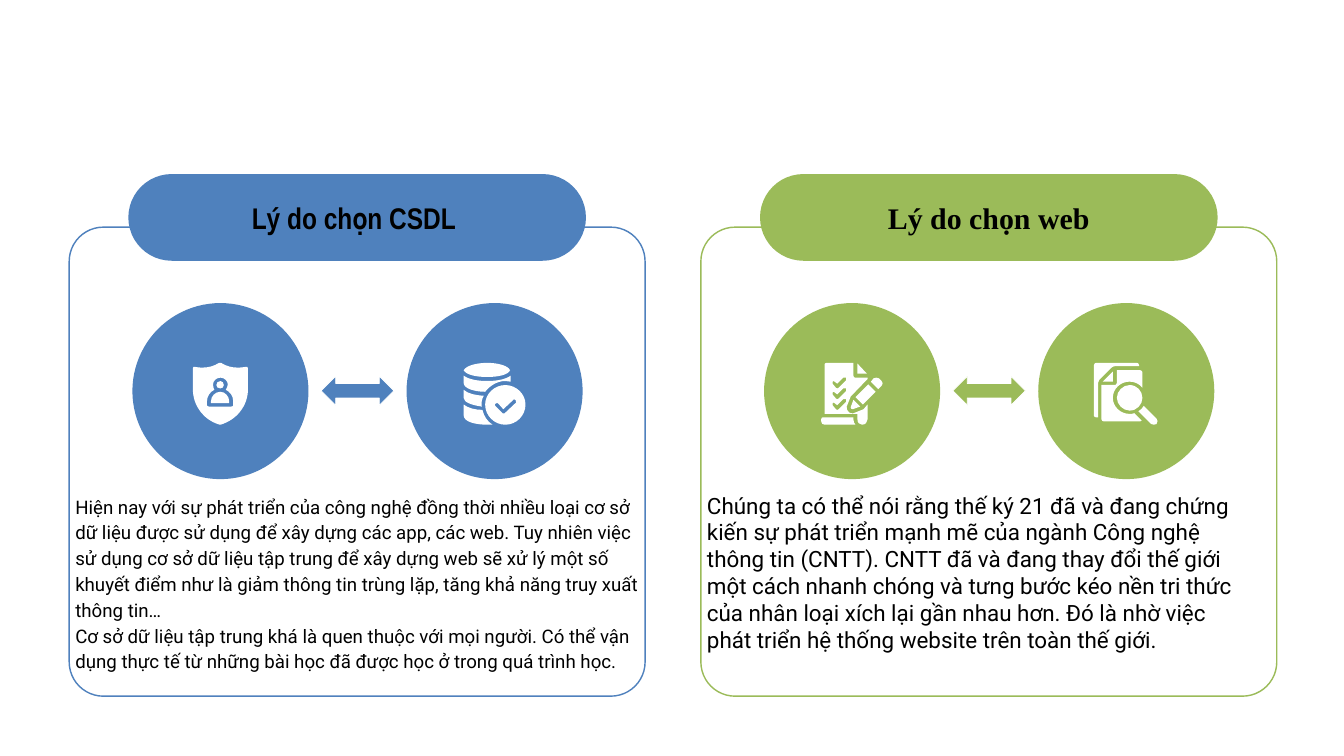
from dataclasses import dataclass

from pptx import Presentation
from pptx.dml.color import RGBColor
from pptx.enum.shapes import MSO_SHAPE as SHAPE
from pptx.enum.text import MSO_ANCHOR as ANCHOR, PP_ALIGN as ALIGN
from pptx.oxml.ns import qn
from pptx.util import Pt

PX = 9144


@dataclass(frozen=True)
class Theme:
    """Colours, fonts and type sizes of the slide."""
    blue: str = "4F81BD"
    green: str = "9BBB59"
    white: str = "FFFFFF"
    ink: str = "000000"
    body_font: str = "Roboto"
    heading_size: int = 32
    small_body: int = 20
    large_body: int = 24


THEME = Theme()


def tick(y):
    """Return the outline of a checklist tick whose top is at y."""
    return (f"M35 {y}C35 {y} 36 {y} 37 {y}C38 {y + 2} 38 {y + 3} 37 {y + 4}L26 {y + 15}"
            f"C25 {y + 16} 25 {y + 16} 24 {y + 16}C23 {y + 16} 23 {y + 16} 22 {y + 15}"
            f"L17 {y + 9}C16 {y + 8} 16 {y + 7} 17 {y + 6}C17 {y + 5} 18 {y + 5} 19 {y + 5}"
            f"C19 {y + 5} 20 {y + 5} 20 {y + 6}L24 {y + 9}L33 {y}C33 {y} 34 {y} 35 {y}")


SHIELD = (
    "M41 43C33 43 27 50 27 57L27 60L54 60L54 57C54 50 48 43 41 43",
    "M41 27C37 27 35 30 35 33C35 36 37 38 41 38C44 38 46 36 46 33C46 30 44 27 41 27",
    "M41 22C47 22 52 27 52 32C52 35 50 38 49 40C55 43 60 49 60 57L60 63"
    "C60 64 59 65 57 65L24 65C22 65 21 64 21 63L21 57C21 49 26 43 32 40"
    "C31 38 30 36 30 32C30 27 35 22 41 22"
    "M41 0C40 0 40 0 39 0C31 5 23 7 15 7C11 7 7 7 3 6C3 6 3 6 2 6C2 6 1 6 1 6C0 7 0 7 0 8"
    "L0 39C0 64 16 85 40 92L41 92C65 85 82 64 82 39L82 8C82 7 82 7 81 6C80 6 80 6 79 6"
    "C79 6 79 6 78 6C74 7 70 7 66 7C58 7 50 5 42 0C42 0 41 0 41 0",
)
DATABASE = (
    "M35 0C19 0 4 4 0 11C4 18 19 21 35 21C51 21 66 18 69 11C66 4 51 0 35 0",
    "M0 19L0 30C0 38 16 43 32 43C39 34 50 27 62 27C65 27 67 28 70 28L70 19"
    "C62 25 48 27 35 27C22 27 8 25 0 19",
    "M75 54C77 54 79 57 78 59L61 75C61 75 60 75 60 75C59 75 58 75 58 75L47 64"
    "C45 62 47 60 49 60C49 60 50 60 51 60L59 69L74 55C74 54 75 54 75 54"
    "M62 33C46 33 32 46 32 62C32 79 46 92 62 92C78 92 92 79 92 62C92 46 78 33 62 33",
    "M0 40L0 52C0 59 13 63 27 65C26 59 27 54 30 49C18 48 6 46 0 40",
    "M0 62L0 78C0 88 18 92 35 92C38 92 40 92 43 92C35 87 30 79 28 70C17 70 6 67 0 62",
)
CHECKLIST = (
    tick(22) + tick(38) + tick(54) +
    "M8 0C6 0 5 1 5 3L5 76L54 76L54 81L54 84C54 89 57 92 61 92C66 92 69 88 69 84L69 62L63 69"
    "L48 75C48 75 47 75 46 75C43 75 41 74 40 72C38 70 38 68 38 65L44 50L69 24L69 22L51 22"
    "C49 22 48 21 48 19L48 0",
    "M82 22C81 22 79 22 78 23L74 28L85 39L90 34C92 32 92 29 90 27L86 23C85 22 84 22 82 22",
    "M48 55L44 66C44 68 45 69 47 69C47 69 47 69 47 69L58 65L48 55",
    "M70 32L51 51L62 62L81 43L70 32",
    "M54 1L54 16L68 16L54 1",
    "M2 81C1 81 0 83 0 84L0 87C0 90 2 92 5 92L51 92C49 90 48 87 48 84L48 81",
)
PAGES = (
    "M3 0C2 0 0 1 0 3L0 79C0 80 2 81 3 81L6 81L6 30C6 28 7 26 8 25L25 8"
    "C27 6 29 5 31 5L67 5L67 3C67 1 65 0 64 0",
    "M28 13L13 28L28 28L28 13",
    "M53 33C43 33 34 42 34 52C34 62 43 71 53 71C64 71 72 62 72 52C72 42 64 33 53 33",
    "M34 11L34 30C34 32 32 33 31 33L11 33L11 84C11 86 13 87 14 87L69 87C70 87 71 86 71 86"
    "L60 75C58 76 55 76 53 76C39 76 28 65 28 52C28 39 39 28 53 28C60 28 67 31 72 37L72 14"
    "C72 13 71 11 69 11",
    "M74 64C72 68 69 70 66 72L85 91C86 92 87 92 89 92C90 92 91 92 93 91C95 88 95 85 93 83"
    "L74 64",
)

CSDL_TEXT = (
    "Hiện nay với sự phát triển của công nghệ đồng thời nhiều loại cơ sở dữ liệu được sử dụng "
    "để xây dựng các app, các web. Tuy nhiên việc sử dụng cơ sở dữ liệu tập trung để xây dựng "
    "web sẽ xử lý một số khuyết điểm như là giảm thông tin trùng lặp, tăng khả năng truy xuất "
    "thông tin…",
    "Cơ sở dữ liệu tập trung khá là quen thuộc với mọi người. Có thể vận dụng thực tế từ những "
    "bài học đã được học ở trong quá trình học.",
)
WEB_TEXT = (
    "Chúng ta có thể nói rằng thế ký 21 đã và đang chứng kiến sự phát triển mạnh mẽ của ngành "
    "Công nghệ thông tin (CNTT). CNTT đã và đang thay đổi thế giới một cách nhanh chóng và tưng "
    "bước kéo nền tri thức của nhân loại xích lại gần nhau hơn. Đó là nhờ việc phát triển hệ "
    "thống website trên toàn thế giới.",
)


def px(*lengths):
    """Turn px lengths into EMU."""
    return [length * PX for length in lengths]


def paint(sp, fill, line=None, width=0.75):
    """Give a shape a flat fill and an optional line."""
    sp.shadow.inherit = False
    sp.fill.solid()
    sp.fill.fore_color.rgb = RGBColor.from_string(fill)
    if line:
        sp.line.color.rgb = RGBColor.from_string(line)
        sp.line.width = Pt(width)
    else:
        sp.line.fill.background()


def add_preset(slide, kind, box, fill, adj=None, **line):
    """Add a preset shape, with its first adjustment if given."""
    sp = slide.shapes.add_shape(kind, *px(*box))
    if adj is not None:
        sp.adjustments[0] = adj
    paint(sp, fill, **line)


def add_text(slide, box, paragraphs, *, font, size, bold=None, align=None, spacing=None):
    """Add a wrapped, vertically centred text box."""
    tf = slide.shapes.add_textbox(*px(*box)).text_frame
    tf.word_wrap = True
    tf.vertical_anchor = ANCHOR.MIDDLE
    tf.margin_left, tf.margin_right, tf.margin_top, tf.margin_bottom = px(40, 40, 0, 0)
    for i, text in enumerate(paragraphs):
        p = tf.paragraphs[0] if i == 0 else tf.add_paragraph()
        p.alignment, p.line_spacing = align, spacing
        r = p.add_run()
        r.text = text
        r.font.name, r.font.size, r.font.bold = font, Pt(size), bold
        r.font.color.rgb = RGBColor.from_string(THEME.ink)


def read_contour(contour):
    """Return the points of a contour and the point count of each segment."""
    segments = [[int(value) for value in segment.split()]
                for segment in contour.replace("C", "L").split("L")]
    points = [pair for n in segments for pair in zip(n[::2], n[1::2])]
    return points, [len(n) // 2 for n in segments[1:]]


def bend(sp, counts):
    """Join each three line steps of a curved segment into one cubic curve."""
    steps = list(sp._element.iter(qn("a:lnTo")))
    for count in counts:
        group, steps = steps[:count], steps[count:]
        if count == 3:
            curve = group[0].makeelement(qn("a:cubicBezTo"), {})
            group[0].addprevious(curve)
            for step in group:
                curve.append(step[0])
                step.getparent().remove(step)


def add_icon(slide, left, top, outlines):
    """Add a white icon as a group of curved freeforms."""
    parts = []
    for outline in outlines:
        builder, counts = None, []
        for contour in outline.split("M")[1:]:
            points, sizes = read_contour(contour)
            start, *rest = [px(left + x, top + y) for x, y in points]
            if builder is None:
                builder = slide.shapes.build_freeform(*start, scale=1.0)
            else:
                builder.move_to(*start)
            builder.add_line_segments(rest, close=True)
            counts += sizes
        sp = builder.convert_to_shape()
        bend(sp, counts)
        paint(sp, THEME.white)
        parts.append(sp)
    slide.shapes.add_group_shape(parts)


def add_panel(slide, left, color, heading, heading_font, icons):
    """Add a framed panel, placed by the left side of its heading bar."""
    add_preset(slide, SHAPE.ROUNDED_RECTANGLE, (left - 88, 338, 857, 698), THEME.white, 0.073,
               line=color, width=1.5)
    add_preset(slide, SHAPE.ROUNDED_RECTANGLE, (left, 259, 681, 129), color, 0.5)
    add_text(slide, (left + 92, 287, 497, 72), [heading], font=heading_font,
             size=THEME.heading_size, bold=True, align=ALIGN.CENTER)
    for offset in (6, 414):
        add_preset(slide, SHAPE.OVAL, (left + offset, 451, 262, 262), color)
    add_preset(slide, SHAPE.LEFT_RIGHT_ARROW, (left + 287, 560, 108, 43), color, 0.5,
               line=THEME.white)
    for offset, outlines in icons:
        add_icon(slide, left + offset, 540, outlines)


def main():
    """Build the slide and save it."""
    prs = Presentation()
    prs.slide_width, prs.slide_height = px(2000, 1125)
    slide = prs.slides.add_slide(prs.slide_layouts[6])
    add_panel(slide, 1131, THEME.green, "Lý do chọn web", "Times New Roman",
              ((91, CHECKLIST), (497, PAGES)))
    add_panel(slide, 191, THEME.blue, "Lý do chọn CSDL ", "Arial Narrow",
              ((96, SHIELD), (499, DATABASE)))
    add_text(slide, (72, 784, 939, 165), CSDL_TEXT, font=THEME.body_font,
             size=THEME.small_body, spacing=1.15)
    add_text(slide, (1012, 769, 889, 165), WEB_TEXT, font=THEME.body_font,
             size=THEME.large_body)
    prs.save("out.pptx")


if __name__ == "__main__":
    main()
